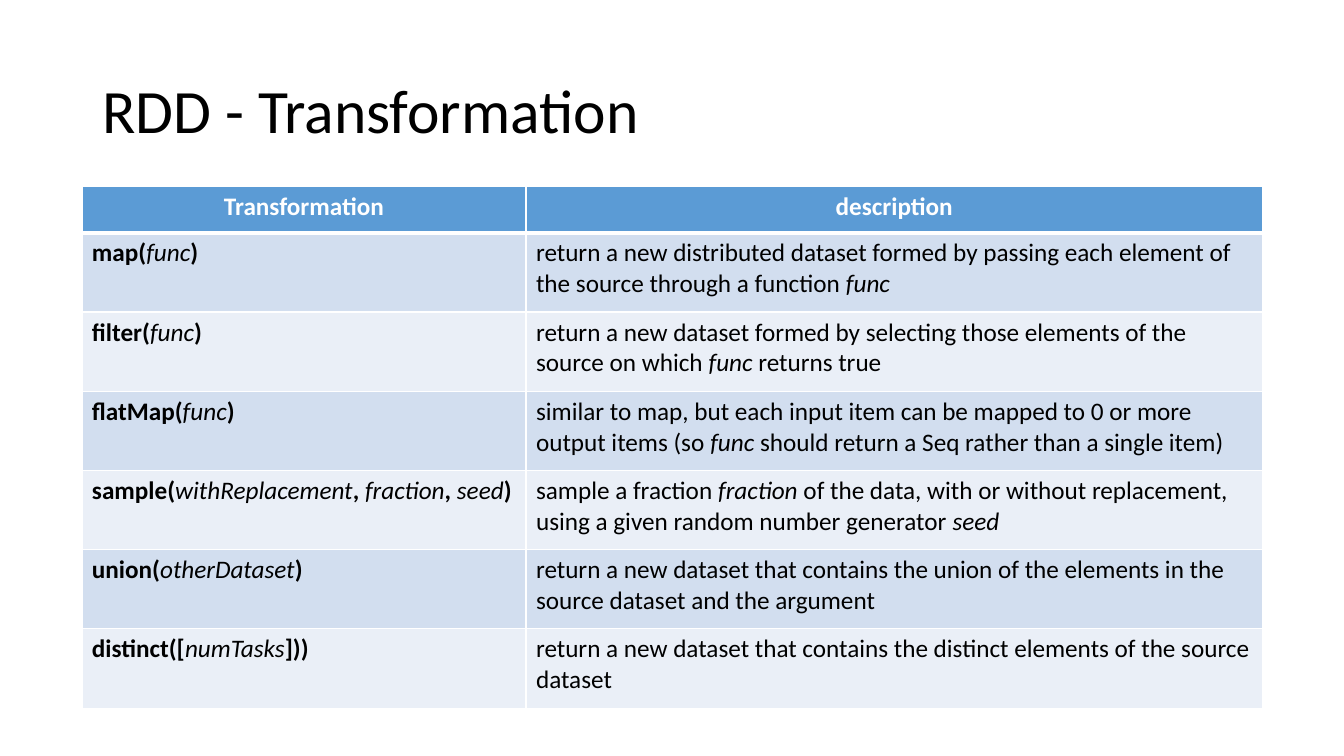
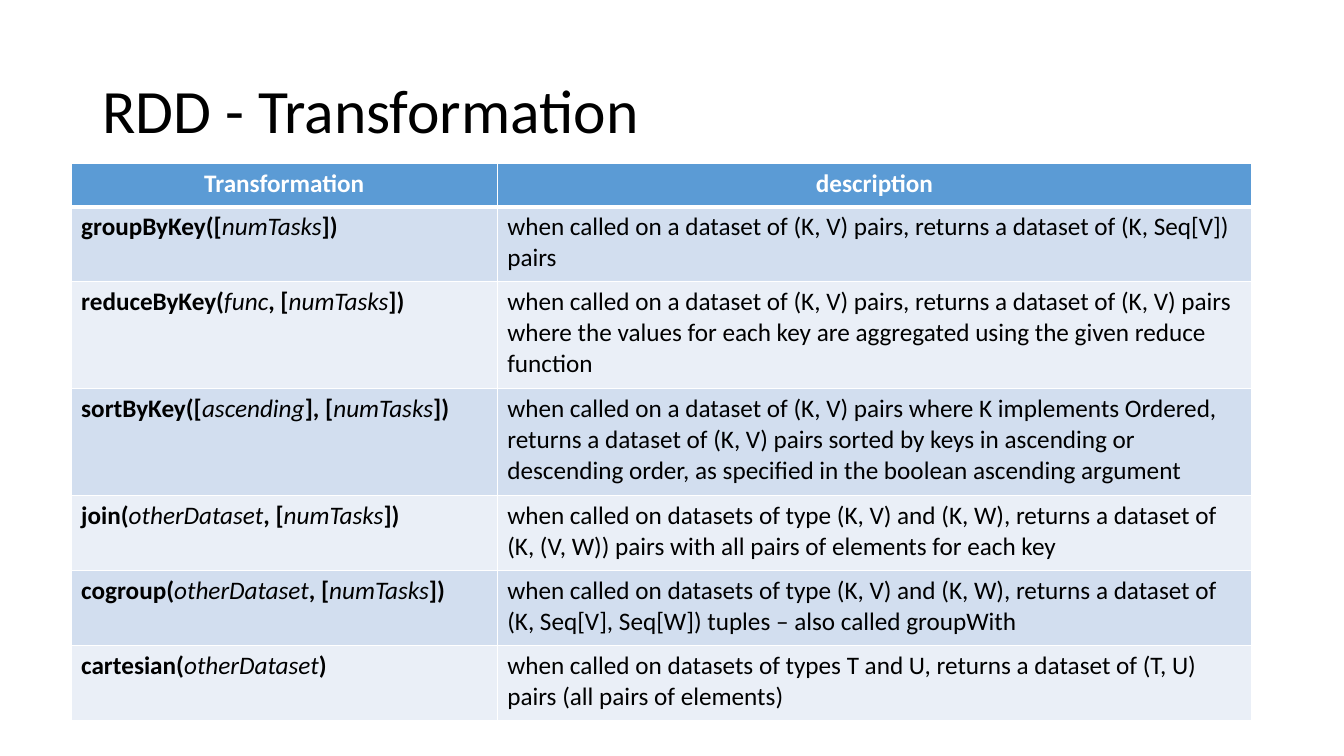
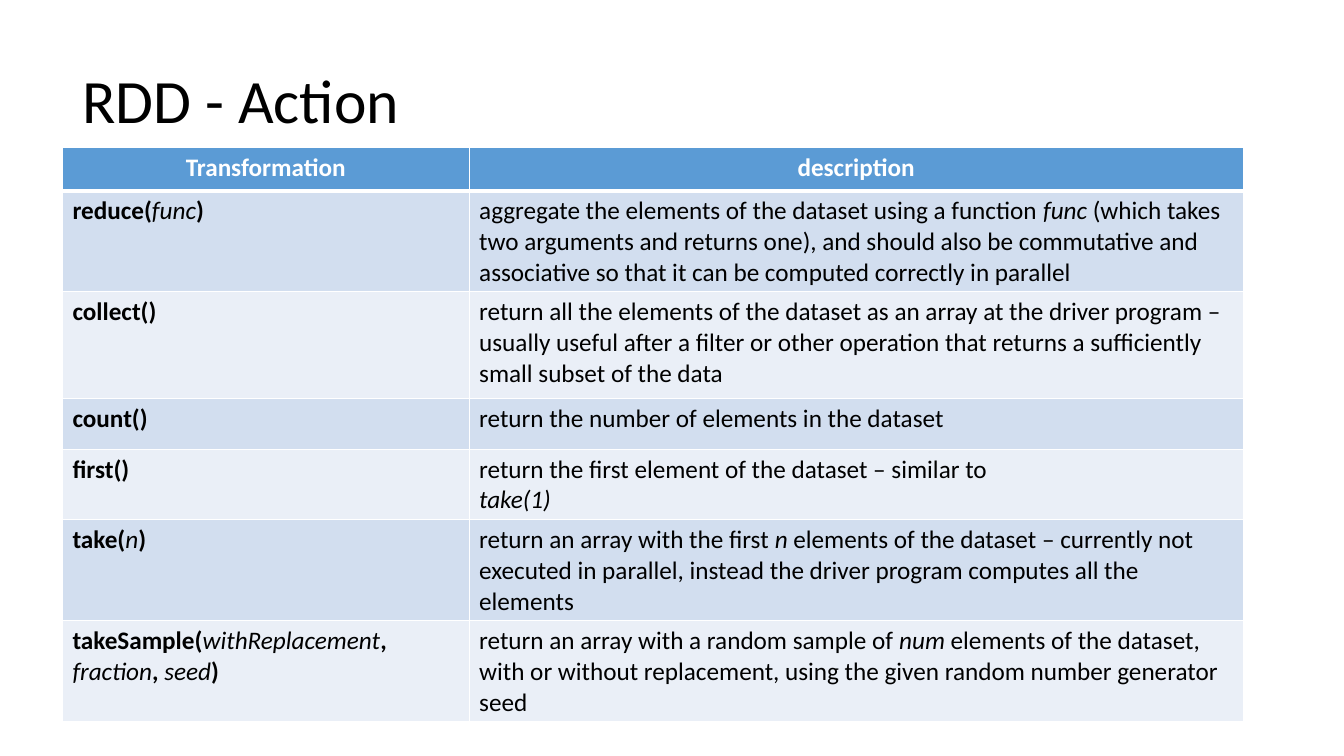
"""Build three slides of tables that describe RDD transformations and actions."""

from dataclasses import dataclass

from lxml import etree
from pptx import Presentation
from pptx.dml.color import RGBColor
from pptx.enum.text import MSO_ANCHOR, PP_ALIGN
from pptx.oxml.ns import qn
from pptx.slide import Slide
from pptx.table import _Cell
from pptx.util import Pt

MIDDLE = MSO_ANCHOR.MIDDLE
LEFT = PP_ALIGN.LEFT
CENTER = PP_ALIGN.CENTER

WHITE = RGBColor(0xFF, 0xFF, 0xFF)
BLACK = RGBColor(0x00, 0x00, 0x00)
HEADER_BLUE = RGBColor(0x5B, 0x9B, 0xD5)
BAND_COLORS = (RGBColor(0xEA, 0xEF, 0xF7), RGBColor(0xD2, 0xDE, 0xEF))

FONT = "Calibri"
TITLE_SIZE = Pt(44)
TITLE_WIDTH = Pt(828)
TITLE_HEIGHT = Pt(104.4)
TABLE_SIZE = Pt(18)
TABLE_WIDTH = 843.4
THIN_RULE = Pt(1)
HEADER_RULE = Pt(3)
ITALIC_MARK = "*"
COLUMN_TITLES = ("Transformation", "description")


@dataclass(frozen=True)
class Operation:
    """One table row: a signature and its meaning, with italics between asterisks."""

    signature: str
    description: str
    height: float


@dataclass(frozen=True)
class OperationSlide:
    """A titled slide with one table; lengths are in points."""

    title: str
    title_left: float
    title_top: float
    table_left: float
    table_top: float
    signature_width: float
    header_height: float
    operations: tuple[Operation, ...]


SLIDES = (
    OperationSlide("RDD - Transformation", 66, 28.8, 58.5, 133.3, 317.2, 33, (
        Operation(
            "map(*func*)",
            "return a new distributed dataset formed by passing each element of "
            "the source through a function *func*", 56.6),
        Operation(
            "filter(*func*)",
            "return a new dataset formed by selecting those elements of the "
            "source on which *func *returns true", 56.6),
        Operation(
            "flatMap(*func*)",
            "similar to map, but each input item can be mapped to 0 or more "
            "output items (so *func *should return a Seq rather than a single item)", 56.6),
        Operation(
            "sample(*withReplacement*, *fraction*, *seed*)",
            "sample a fraction *fraction *of the data, with or without replacement, "
            "using a given random number generator *seed*", 56.6),
        Operation(
            "union(*otherDataset*)",
            "return a new dataset that contains the union of the elements in the "
            "source dataset and the argument", 56.6),
        Operation(
            "distinct([*numTasks*]))",
            "return a new dataset that contains the distinct elements of the source "
            "dataset", 56.6),
    )),
    OperationSlide("RDD - Transformation", 66, 28.8, 50.8, 116.8, 304.4, 31, (
        Operation(
            "groupByKey([*numTasks*])",
            "when called on a dataset of (K, V) pairs, returns a dataset of (K, Seq[V]) "
            "pairs", 53.5),
        Operation(
            "reduceByKey(*func*, [*numTasks*])",
            "when called on a dataset of (K, V) pairs, returns a dataset of (K, V) pairs "
            "where the values for each key are aggregated using the given reduce "
            "function", 76.4),
        Operation(
            "sortByKey([*ascending*], [*numTasks*])",
            "when called on a dataset of (K, V) pairs where K implements Ordered, "
            "returns a dataset of (K, V) pairs sorted by keys in ascending or "
            "descending order, as specified in the boolean ascending argument", 76.4),
        Operation(
            "join(*otherDataset*, [*numTasks*])",
            "when called on datasets of type (K, V) and (K, W), returns a dataset of "
            "(K, (V, W)) pairs with all pairs of elements for each key", 53.5),
        Operation(
            "cogroup(*otherDataset*, [*numTasks*])",
            "when called on datasets of type (K, V) and (K, W), returns a dataset of "
            "(K, Seq[V], Seq[W]) tuples – also called groupWith", 53.5),
        Operation(
            "cartesian(*otherDataset*)",
            "when called on datasets of types T and U, returns a dataset of (T, U) "
            "pairs (all pairs of elements)", 53.5),
    )),
    OperationSlide("RDD - Action", 51.8, 21.6, 44.6, 105.4, 290.5, 31, (
        Operation(
            "reduce(*func*)",
            "aggregate the elements of the dataset using a function *func *(which takes "
            "two arguments and returns one), and should also be commutative and "
            "associative so that it can be computed correctly in parallel", 53.5),
        Operation(
            "collect()",
            "return all the elements of the dataset as an array at the driver program – "
            "usually useful after a filter or other operation that returns a sufficiently "
            "small subset of the data", 76.4),
        Operation("count()", "return the number of elements in the dataset", 36),
        Operation(
            "first()",
            "return the first element of the dataset – similar to\n*take(1)*", 50),
        Operation(
            "take(*n*)",
            "return an array with the first *n *elements of the dataset – currently not "
            "executed in parallel, instead the driver program computes all the "
            "elements", 68.5),
        Operation(
            "takeSample(*withReplacement*, *fraction*, *seed*)",
            "return an array with a random sample of *num *elements of the dataset, "
            "with or without replacement, using the given random number generator "
            "seed", 53.5),
    )),
)


def add_title(slide: Slide, content: OperationSlide) -> None:
    """Write the slide title."""
    title = slide.shapes.add_textbox(
        Pt(content.title_left), Pt(content.title_top), TITLE_WIDTH, TITLE_HEIGHT)
    frame = title.text_frame
    frame.word_wrap = True
    frame.vertical_anchor = MIDDLE
    frame.text = content.title
    heading = frame.paragraphs[0]
    heading.line_spacing = 0.9
    font = heading.runs[0].font
    font.name, font.size = FONT, TITLE_SIZE
    font.color.rgb = BLACK


def add_border(cell: _Cell, edge: str, width: int) -> None:
    """Draw one white edge of a cell."""
    line = etree.SubElement(cell._tc.get_or_add_tcPr(), qn(f"a:ln{edge}"), w=str(width))
    fill = etree.SubElement(line, qn("a:solidFill"))
    etree.SubElement(fill, qn("a:srgbClr"), val=str(WHITE))


def fill_cell(cell: _Cell, text: str, row: int, bold: bool) -> None:
    """Style a cell and write its text, turning marked parts into italics."""
    is_header = row == 0
    for edge in "LRTB":
        beside_header_rule = (row, edge) in ((0, "B"), (1, "T"))
        add_border(cell, edge, HEADER_RULE if beside_header_rule else THIN_RULE)
    cell.fill.solid()
    cell.fill.fore_color.rgb = HEADER_BLUE if is_header else BAND_COLORS[row % 2]
    frame = cell.text_frame
    for index, line in enumerate(text.split("\n")):
        paragraph = frame.add_paragraph() if index else frame.paragraphs[0]
        paragraph.alignment = CENTER if is_header else LEFT
        for part, words in enumerate(line.split(ITALIC_MARK)):
            if not words:
                continue
            run = paragraph.add_run()
            run.text = words
            font = run.font
            font.name, font.size = FONT, TABLE_SIZE
            font.italic = part % 2 == 1
            font.bold = bold and not font.italic
            font.color.rgb = WHITE if is_header else BLACK


def add_operations(slide: Slide, content: OperationSlide) -> None:
    """Draw the table of operations."""
    heights = [content.header_height, *(item.height for item in content.operations)]
    table = slide.shapes.add_table(
        len(heights), len(COLUMN_TITLES), Pt(content.table_left), Pt(content.table_top),
        Pt(TABLE_WIDTH), Pt(sum(heights))).table
    table.columns[0].width = Pt(content.signature_width)
    table.columns[1].width = Pt(TABLE_WIDTH - content.signature_width)
    rows = [COLUMN_TITLES, *((item.signature, item.description) for item in content.operations)]
    for row, (texts, height) in enumerate(zip(rows, heights)):
        table.rows[row].height = Pt(height)
        for column, text in enumerate(texts):
            fill_cell(table.cell(row, column), text, row, bold=row == 0 or column == 0)


def main() -> None:
    """Build and save the presentation."""
    presentation = Presentation()
    presentation.slide_width, presentation.slide_height = Pt(960), Pt(540)
    blank_layout = presentation.slide_layouts[6]
    for content in SLIDES:
        slide = presentation.slides.add_slide(blank_layout)
        add_title(slide, content)
        add_operations(slide, content)
    presentation.save("out.pptx")


if __name__ == "__main__":
    main()
